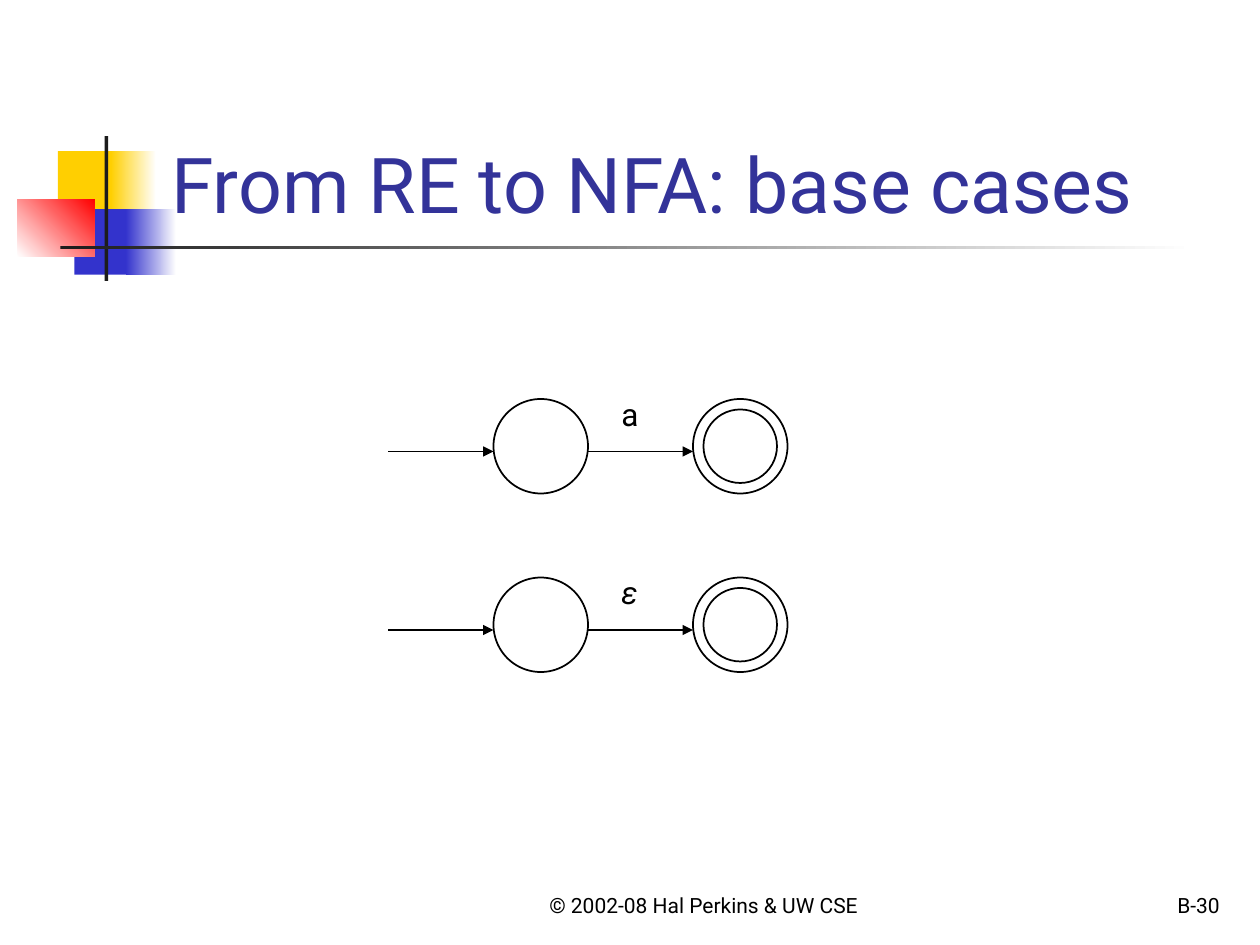
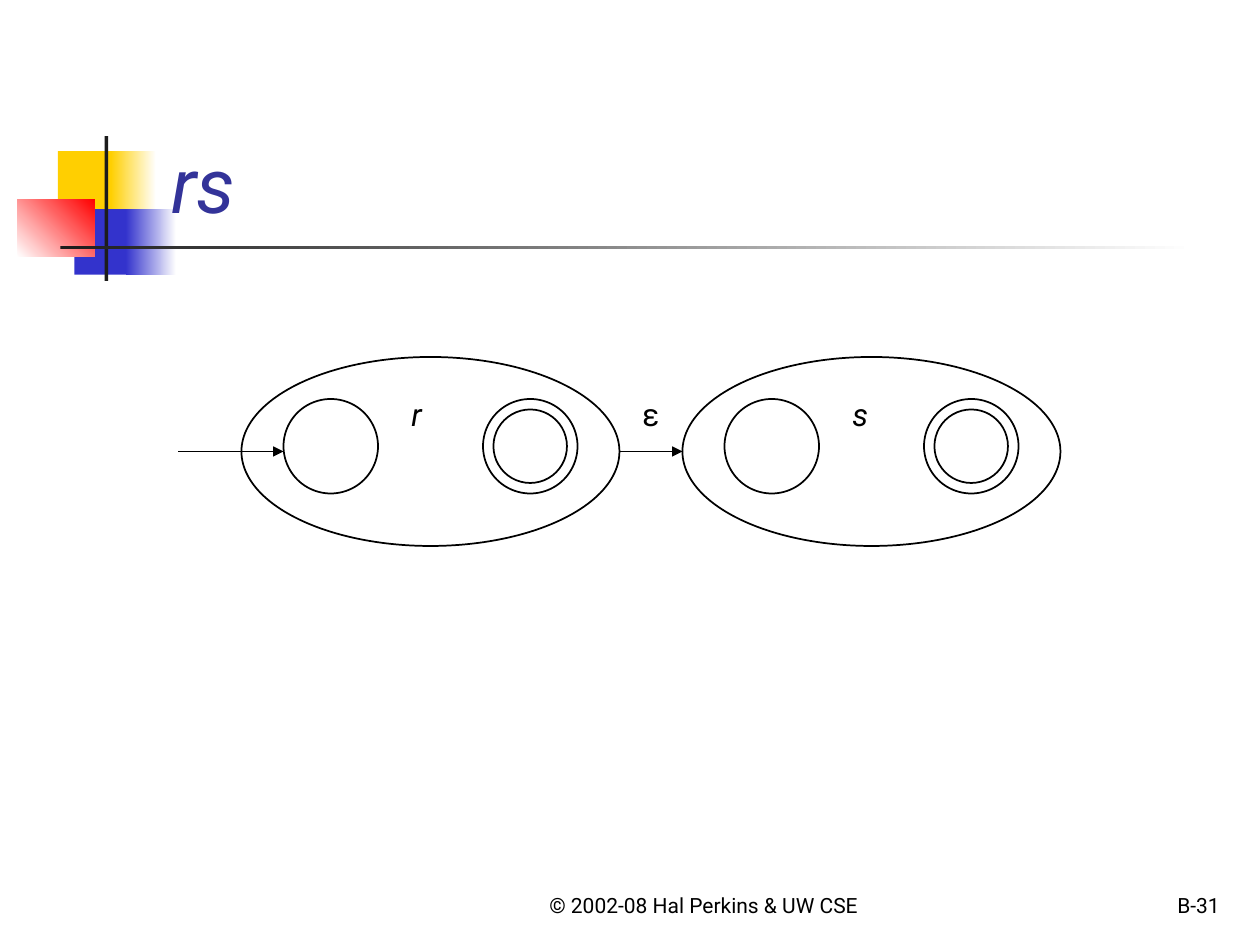
from typing import NamedTuple

from lxml.etree import SubElement
from pptx import Presentation
from pptx.dml.color import RGBColor
from pptx.enum.shapes import MSO_CONNECTOR as Connector, MSO_SHAPE as Preset
from pptx.enum.text import MSO_ANCHOR as Anchor, MSO_AUTO_SIZE as AutoSize, PP_ALIGN as Align
from pptx.oxml.ns import qn
from pptx.util import Emu, Inches, Pt

CELL = Inches(1) // 12
FONT, BLACK, WHITE = "Roboto", "000000", "FFFFFF"
YELLOW, BLUE, RED, CHARCOAL, TITLE_BLUE = "FFCF01", "3333CC", "FF0000", "1C1C1C", "333399"
STATE, RIM, STEP, PORT = 9, 1, 19, 5
ENTRY, HALO_WIDTH, HALO_HEIGHT = 10, 36, 18
COPYRIGHT = "© 2002-08 Hal Perkins & UW CSE"


class Band(NamedTuple):
    left: float
    top: float
    width: float
    height: float
    start: str
    end: str = ""
    angle: int = 0


class Machine(NamedTuple):
    col: int
    row: int
    label: str
    italic: bool = False


BANDS = (
    Band(0.46, 1.2, 0.48, 0.52, YELLOW),
    Band(0.88, 1.2, 0.36, 0.52, YELLOW, WHITE),
    Band(0.59, 1.66, 0.46, 0.52, BLUE),
    Band(1, 1.66, 0.4, 0.52, BLUE, WHITE),
    Band(0.14, 1.58, 0.61, 0.46, WHITE, RED, 45),
    Band(0.83, 1.08, 0.03, 1.15, CHARCOAL),
    Band(0.48, 1.95, 9, 0.03, CHARCOAL, WHITE),
)
BASE_CASES = (Machine(47, 38, "a"), Machine(47, 55, "ε", True))
SEQUENCE = (Machine(27, 38, "r", True), Machine(69, 38, "s", True))


def cells(*counts: float) -> list[Emu]:
    """Turn grid counts into lengths."""
    return [Emu(round(count * CELL)) for count in counts]


def paint(color, value: str) -> None:
    """Give a colour format a hex colour."""
    color.rgb = RGBColor.from_string(value)


def write(frame, text: str, size: int, color: str = BLACK, italic: bool = False,
          align: Align = Align.LEFT) -> None:
    """Fill a text frame with one styled paragraph."""
    frame.word_wrap = True
    frame.auto_size = AutoSize.NONE
    frame.text = text
    paragraph = frame.paragraphs[0]
    paragraph.alignment = align
    font = paragraph.font
    font.name, font.size, font.italic = FONT, Pt(size), italic
    paint(font.color, color)


def add_band(slide, band: Band) -> None:
    """Draw one solid or fading block of the slide design."""
    block = slide.shapes.add_shape(Preset.RECTANGLE, *map(Inches, band[:4]))
    block.shadow.inherit = False
    block.line.fill.background()
    if not band.end:
        block.fill.solid()
        paint(block.fill.fore_color, band.start)
        return
    block.fill.gradient()
    block.fill.gradient_angle = band.angle
    for stop, color in zip(block.fill.gradient_stops, (band.start, band.end)):
        paint(stop.color, color)


def add_footer(slide, left: float, width: float, text: str, align: Align) -> None:
    """Write a footer text along the bottom of the slide."""
    footer = slide.shapes.add_textbox(*map(Inches, (left, 6.83, width, 0.5))).text_frame
    footer.vertical_anchor = Anchor.BOTTOM
    write(footer, text, 12, align=align)


def add_ring(slide, col: float, row: float, width: float, height: float) -> None:
    """Draw an outlined ellipse on the grid."""
    ring = slide.shapes.add_shape(Preset.OVAL, *cells(col, row, width, height))
    ring.shadow.inherit = False
    ring.fill.background()
    ring.line.width = Pt(1)
    paint(ring.line.color, BLACK)


def add_arrow(slide, start: int, end: int, row: int) -> None:
    """Draw a transition arrow along a grid row."""
    arrow = slide.shapes.add_connector(Connector.STRAIGHT, *cells(start, row, end, row))
    arrow.line.width = Pt(1)
    paint(arrow.line.color, BLACK)
    SubElement(arrow.line._get_or_add_ln(), qn("a:tailEnd"), type="triangle")
    SubElement(arrow._element.spPr, qn("a:effectLst"))


def add_label(slide, col: int, row: int, text: str, italic: bool = False) -> None:
    """Write a symbol on the grid."""
    label = slide.shapes.add_textbox(*cells(col, row, 5, 4.8))
    write(label.text_frame, text, 18, italic=italic)


def add_machine(slide, machine: Machine) -> None:
    """Draw a start state, an accepting state and the label between them."""
    col, row, accept = machine.col, machine.row, machine.col + STEP
    add_ring(slide, col, row, STATE, STATE)
    add_ring(slide, accept, row, STATE, STATE)
    add_ring(slide, accept + RIM, row + RIM, STATE - 2 * RIM, STATE - 2 * RIM)
    add_label(slide, col + 11, row - 1, machine.label, machine.italic)


def add_page(deck, heading: str, number: str, italic: bool = False):
    """Add a slide with the shared design, title and footers."""
    slide = deck.slides.add_slide(deck.slide_layouts[5])
    for band in BANDS:
        add_band(slide, band)
    add_footer(slide, 4, 3.17, COPYRIGHT, Align.CENTER)
    add_footer(slide, 7.7, 2.08, number, Align.RIGHT)
    title = slide.shapes.title
    slide.shapes._spTree.append(title._element)
    title.left, title.top, title.width, title.height = map(Inches, (1.26, 0.23, 8.52, 1.6))
    title.text_frame.vertical_anchor = Anchor.BOTTOM
    title.text_frame.margin_bottom = Inches(0.01)
    write(title.text_frame, heading, 44, TITLE_BLUE, italic)
    return slide


def build_base_cases(deck) -> None:
    """Show the machines for one symbol and for the empty string."""
    slide = add_page(deck, "From RE to NFA: base cases", "B-30")
    for machine in BASE_CASES:
        add_machine(slide, machine)
        port = machine.row + PORT
        add_arrow(slide, machine.col - ENTRY, machine.col, port)
        add_arrow(slide, machine.col + STATE, machine.col + STEP, port)


def build_sequence(deck) -> None:
    """Show two machines joined by an empty transition."""
    slide = add_page(deck, "rs", "B-31", italic=True)
    for machine in SEQUENCE:
        add_machine(slide, machine)
        add_ring(slide, machine.col - 4, machine.row - 4, HALO_WIDTH, HALO_HEIGHT)
    first, second = SEQUENCE
    port = first.row + PORT
    add_arrow(slide, first.col - ENTRY, first.col, port)
    add_arrow(slide, first.col - 4 + HALO_WIDTH, second.col - 4, port)
    add_label(slide, first.col + 33, first.row - 1, "ε")


def main() -> None:
    """Build and save the deck."""
    deck = Presentation()
    deck.slide_width, deck.slide_height = Inches(10), Inches(7.5)
    build_base_cases(deck)
    build_sequence(deck)
    deck.save("out.pptx")


if __name__ == "__main__":
    main()
